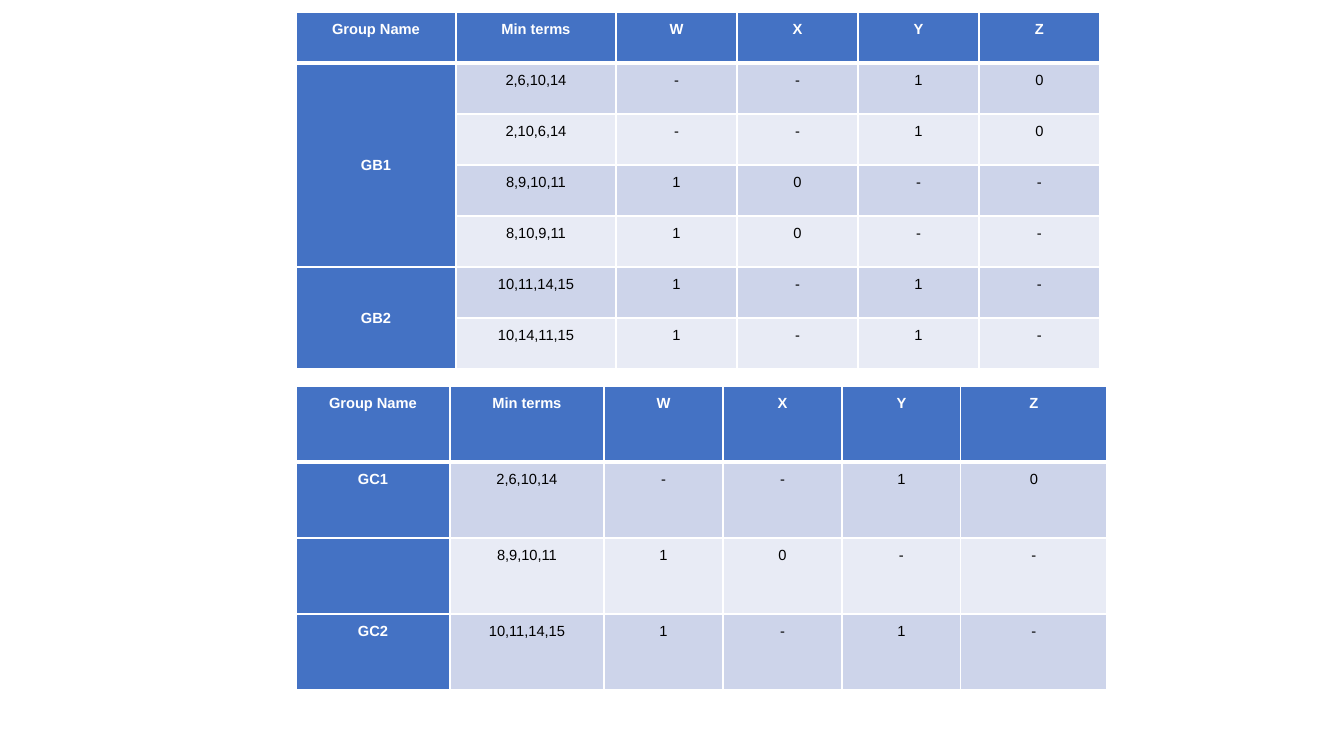
"""Build a slide with two tables of grouped min terms."""
import pptx
import pptx.dml.color
import pptx.enum.text
import pptx.oxml
import pptx.oxml.ns
import pptx.util

HEADINGS = ["Group Name", "Min terms", "W", "X", "Y", "Z"]
PAIR_GROUPS = [
    ["GB1", "2,6,10,14", "-", "-", "1", "0"],
    [None, "2,10,6,14", "-", "-", "1", "0"],
    [None, "8,9,10,11", "1", "0", "-", "-"],
    [None, "8,10,9,11", "1", "0", "-", "-"],
    ["GB2", "10,11,14,15", "1", "-", "1", "-"],
    [None, "10,14,11,15", "1", "-", "1", "-"],
]
REDUCED_GROUPS = [
    ["GC1", "2,6,10,14", "-", "-", "1", "0"],
    ["", "8,9,10,11", "1", "0", "-", "-"],
    ["GC2", "10,11,14,15", "1", "-", "1", "-"],
]


def px(length):
    return pptx.util.Emu(round(length * 914400 / 100.8))


def color(value):
    return pptx.dml.color.RGBColor.from_string(value)


class SlideBuilder:
    font = "Arial"
    size = 10.5
    accent = "4472C4"
    bands = ["CDD4EA", "E8EBF5"]
    white = "FFFFFF"
    black = "000000"

    def __init__(self, presentation):
        self.slide = presentation.slides.add_slide(presentation.slide_layouts[6])

    def border(self, cell, index, side, points):
        namespace = pptx.oxml.ns.nsdecls("a")
        line = pptx.oxml.parse_xml(
            f'<a:ln{side} {namespace} w="{pptx.util.Pt(points)}"><a:solidFill>'
            f'<a:srgbClr val="{self.white}"/></a:solidFill></a:ln{side}>'
        )
        cell._tc.get_or_add_tcPr().insert(index, line)

    def cell(self, cell, text, row, column):
        strong = row == 0 or column == 0
        cell.fill.solid()
        cell.fill.fore_color.rgb = color(self.accent if strong else self.bands[(row - 1) % 2])
        cell.margin_left = cell.margin_right = px(8)
        cell.margin_top = cell.margin_bottom = px(8)
        widths = {"L": 1, "R": 1, "T": 3 if row == 1 else 1, "B": 3 if row == 0 else 1}
        for index, (side, points) in enumerate(widths.items()):
            self.border(cell, index, side, points)
        cell.text_frame.text = text or ""
        paragraph = cell.text_frame.paragraphs[0]
        paragraph.alignment = pptx.enum.text.PP_ALIGN.CENTER
        paragraph.line_spacing = 1.07
        for run in paragraph.runs:
            run.font.name = self.font
            run.font.size = pptx.util.Pt(self.size)
            run.font.bold = strong
            run.font.color.rgb = color(self.white if strong else self.black)

    def table(self, left, top, widths, row_height, rows):
        frame = self.slide.shapes.add_table(
            len(rows), len(widths), px(left), px(top), px(sum(widths)), px(row_height * len(rows))
        )
        table = frame.table
        table.horz_banding = False
        for column, width in zip(table.columns, widths):
            column.width = px(width)
        for row_index, values in enumerate(rows):
            table.rows[row_index].height = px(row_height)
            for column_index, text in enumerate(values):
                self.cell(table.cell(row_index, column_index), text, row_index, column_index)
        self.merge_groups(table, [values[0] for values in rows])

    def merge_groups(self, table, names):
        starts = [index for index, name in enumerate(names) if name is not None]
        for start, end in zip(starts, starts[1:] + [len(names)]):
            if end - start > 1:
                group = table.cell(start, 0)
                group.merge(table.cell(end - 1, 0))
                group.vertical_anchor = pptx.enum.text.MSO_ANCHOR.MIDDLE


def main():
    presentation = pptx.Presentation()
    presentation.slide_width = px(1344)
    presentation.slide_height = px(756)
    builder = SlideBuilder(presentation)
    builder.table(296, 12, [160] * 2 + [121] * 4, 51, [HEADINGS] + PAIR_GROUPS)
    builder.table(296, 386, [154] * 2 + [119] * 3 + [146], 76, [HEADINGS] + REDUCED_GROUPS)
    presentation.save("out.pptx")


if __name__ == "__main__":
    main()
